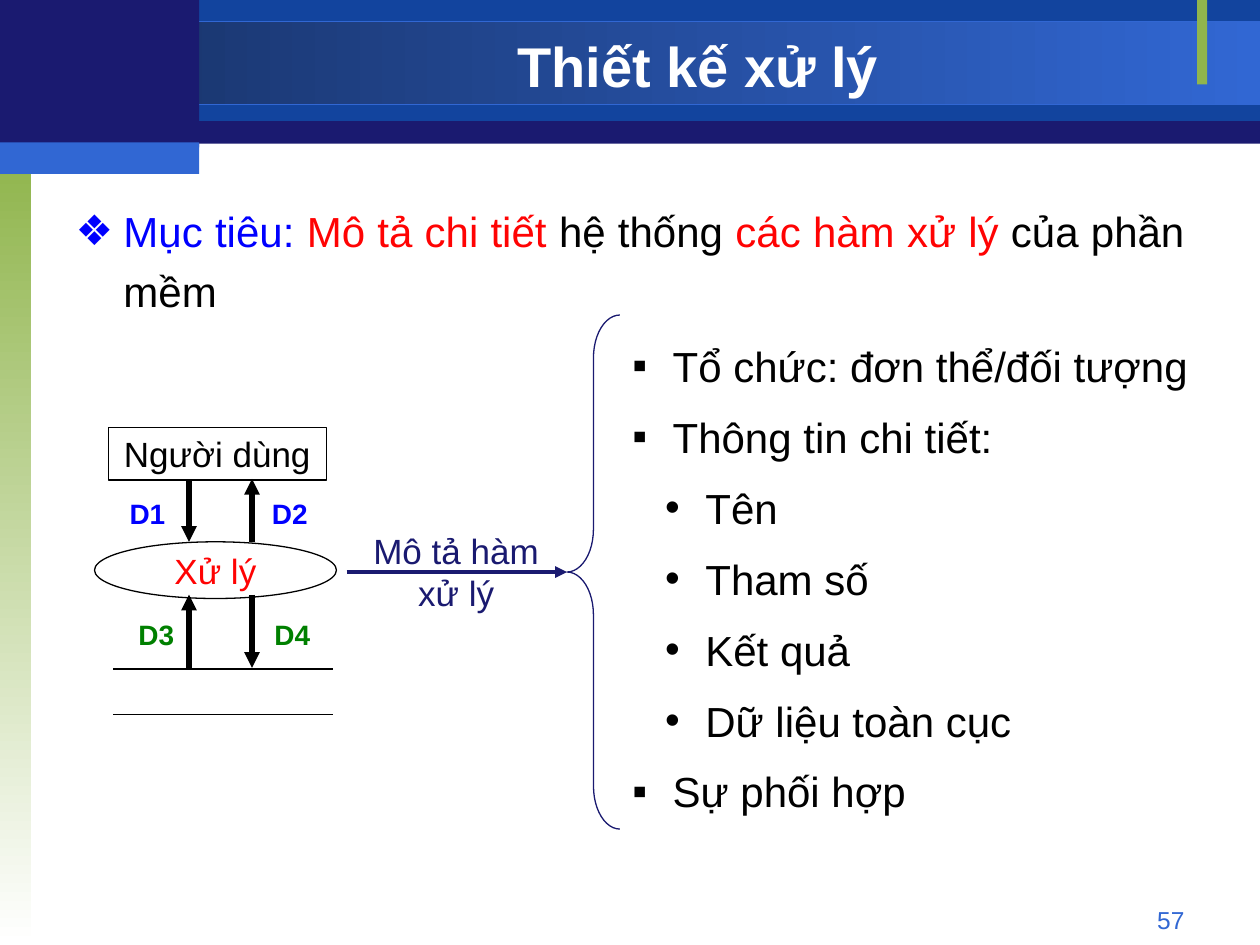
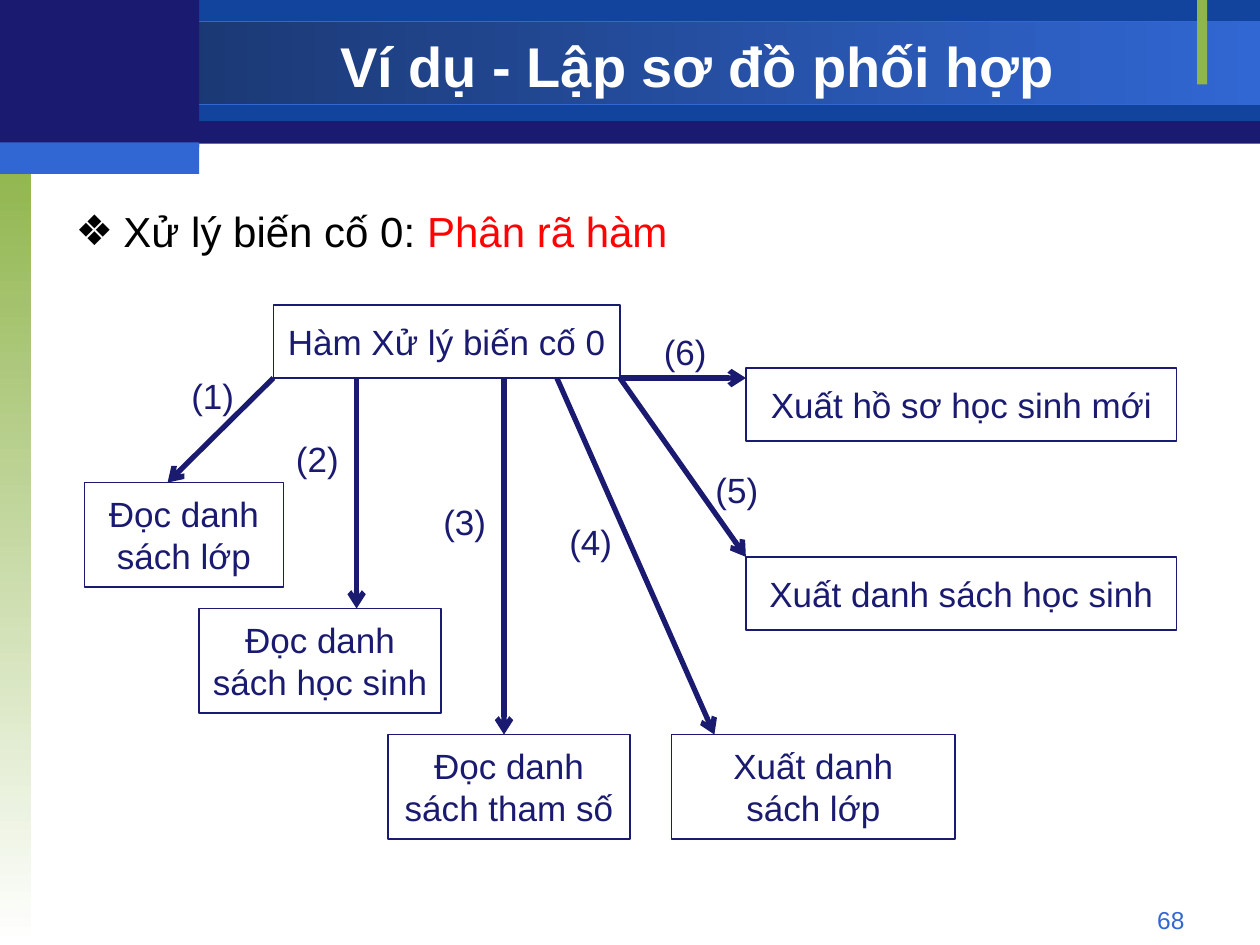
from lxml.etree import SubElement
from pptx import Presentation
from pptx.dml.color import RGBColor
from pptx.enum.shapes import MSO_CONNECTOR as Connector, MSO_SHAPE as Shape
from pptx.enum.text import MSO_ANCHOR as Anchor, MSO_AUTO_SIZE as AutoSize, PP_ALIGN as Align
from pptx.oxml.ns import qn
from pptx.util import Inches, Pt

FONT = "Arial"
NAVY, ROYAL, BLUE, DEEP = "1A1A70", "12449E", "3167D3", "173062"
LEAF, WHITE, BLACK = "90B54D", "FFFFFF", "000000"
RED, PURE_BLUE, GREEN = "FF0303", "0000FF", "008000"

# left, top, width, height, fill (a pair is a gradient), gradient angle, outline
BANDS = [
    (0, 0.01, 10, 1.13, NAVY, 0, None),
    (1.58, 0, 8.42, 0.96, ROYAL, 0, None),
    (0, 0.17, 10, 0.66, (DEEP, BLUE), 0, BLUE),
    (0, 1.25, 0.25, 6.25, (LEAF, WHITE), 270, None),
    (9.5, 0, 0.08, 0.67, LEAF, 0, None),
    (0, 0, 1.58, 1.17, NAVY, 0, None),
    (0, 1.13, 1.58, 0.25, BLUE, 0, None),
]


def rgb(value):
    return RGBColor.from_string(value)


def set_all(target, **values):
    for name, value in values.items():
        setattr(target, name, value)


def place(shape, *box):
    sides = ("left", "top", "width", "height")
    set_all(shape, **{side: Inches(v) for side, v in zip(sides, box)})


class Deck:
    """Holds the shared style and the slide being built."""

    def __init__(self):
        self.prs = Presentation()
        set_all(self.prs, slide_width=Inches(10), slide_height=Inches(7.5))
        self.layout = self.prs.slide_layouts[1]
        self.slide = None

    def new_slide(self, title, number):
        first = self.slide is None
        self.slide = self.prs.slides.add_slide(self.layout)
        if first:
            self.move_bands_to_layout()
        heading = self.slide.shapes.title
        place(heading, 1.58, 0.23, 7.92, 0.58)
        self.fill_text(heading, [[(title, WHITE)]], size=32, bold=True,
                       align=Align.CENTER, anchor=Anchor.MIDDLE)
        self.label(str(number), 7.17, 7.13, 2.33, 0.27, BLUE, size=14, align=Align.RIGHT)

    def move_bands_to_layout(self):
        """Draw the bands once, behind everything, for all slides."""
        tree = self.layout.shapes._spTree
        for index, (*box, fill, angle, outline) in enumerate(BANDS):
            band = self.shape(Shape.RECTANGLE, *box, outline)
            if isinstance(fill, tuple):
                band.fill.gradient()
                band.fill.gradient_angle = angle
                for stop, color in zip(band.fill.gradient_stops, fill):
                    stop.color.rgb = rgb(color)
            else:
                band.fill.solid()
                band.fill.fore_color.rgb = rgb(fill)
            tree.insert(2 + index, band._element)

    def fill_text(self, shape, paragraphs, size=20, bold=False, align=Align.LEFT,
                  anchor=Anchor.TOP, wrap=True, spacing=1.0, bullets=()):
        """Fill a shape; a paragraph is a list of (text, colour) runs."""
        frame = shape.text_frame
        set_all(frame, word_wrap=wrap, auto_size=AutoSize.NONE, vertical_anchor=anchor,
                margin_left=Inches(0.1), margin_right=Inches(0.1),
                margin_top=Inches(0.05), margin_bottom=Inches(0.05))
        for index, runs in enumerate(paragraphs):
            paragraph = frame.add_paragraph() if index else frame.paragraphs[0]
            set_all(paragraph, alignment=align, line_spacing=spacing,
                    space_before=Pt(6 if index and bullets else 0))
            if bullets:
                self.bullet(paragraph, *bullets[index])
            for text, color in runs:
                run = paragraph.add_run()
                run.text = text
                set_all(run.font, name=FONT, size=Pt(size), bold=bold)
                run.font.color.rgb = rgb(color)

    def bullet(self, paragraph, char, color, margin, hanging):
        props = paragraph._p.get_or_add_pPr()
        props.set("marL", str(Inches(margin)))
        props.set("indent", str(-Inches(hanging)))
        SubElement(SubElement(props, qn("a:buClr")), qn("a:srgbClr")).set("val", color)
        SubElement(props, qn("a:buFont")).set("typeface", FONT)
        SubElement(props, qn("a:buChar")).set("char", char)

    def lead(self, *runs):
        """Put the opening statement in the body placeholder."""
        body = self.slide.placeholders[1]
        place(body, 0.5, 1.5, 9, 5.5)
        self.fill_text(body, [runs], size=24, align=Align.JUSTIFY, spacing=1.2,
                       bullets=[("❖", runs[0][1], 0.38, 0.38)])

    def label(self, text, left, top, width, height, color, **style):
        box = self.slide.shapes.add_textbox(*map(Inches, (left, top, width, height)))
        self.fill_text(box, [[(text, color)]], **style)

    def outline_list(self, items, *box):
        """Bulleted list of (level, text) items."""
        area = self.slide.shapes.add_textbox(*map(Inches, box))
        marks = [("▪", BLACK, 0.32, 0.32), ("•", BLACK, 0.58, 0.32)]
        self.fill_text(area, [[(text, BLACK)] for _, text in items], size=24, spacing=1.2,
                       bullets=[marks[level] for level, _ in items])

    def shape(self, kind, left, top, width, height, outline):
        shape = self.slide.shapes.add_shape(kind, *map(Inches, (left, top, width, height)))
        shape.shadow.inherit = False
        shape.fill.background()
        if outline:
            shape.line.color.rgb = rgb(outline)
            shape.line.width = Pt(0.75)
        else:
            shape.line.fill.background()
        return shape

    def node(self, text, left, top, width, height, color=NAVY, outline=NAVY,
             kind=Shape.RECTANGLE):
        node = self.shape(kind, left, top, width, height, outline)
        self.fill_text(node, [[(line, color)] for line in text.split("\n")],
                       align=Align.CENTER, anchor=Anchor.MIDDLE, wrap=False)

    def line(self, start, end, color=BLACK, width=0.75, head=None):
        link = self.slide.shapes.add_connector(
            Connector.STRAIGHT, *map(Inches, (*start, *end)))
        link.line.color.rgb = rgb(color)
        link.line.width = Pt(width)
        if head:
            SubElement(link.line._get_or_add_ln(), qn("a:tailEnd")).set("type", head)
        SubElement(link._element.spPr, qn("a:effectLst"))


def build_processing_design(deck):
    deck.new_slide("Thiết kế xử lý", 57)
    deck.lead(("Mục tiêu: ", PURE_BLUE), ("Mô tả chi tiết", RED), (" hệ thống ", BLACK),
              ("các hàm xử lý", RED), (" của phần mềm", BLACK))

    deck.node("Người dùng", 0.86, 3.39, 1.73, 0.42, BLACK, BLACK)
    deck.node("Xử lý", 0.75, 4.3, 1.92, 0.45, RED, BLACK, Shape.OVAL)
    for store_edge in (5.31, 5.67):
        deck.line((0.9, store_edge), (2.64, store_edge))

    flows = [
        ("D1", 0.93, 3.89, PURE_BLUE, 1.5, 3.81, 4.3),
        ("D2", 2.06, 3.89, PURE_BLUE, 2, 4.3, 3.8),
        ("D3", 1, 4.85, GREEN, 1.5, 5.3, 4.72),
        ("D4", 2.08, 4.85, GREEN, 2, 4.72, 5.3),
    ]
    for name, left, top, color, x, start, end in flows:
        deck.line((x, start), (x, end), width=3, head="triangle")
        deck.label(name, left, top, 0.48, 0.37, color, size=16, bold=True, wrap=False)

    deck.line((2.75, 4.54), (4.5, 4.54), NAVY, 2.25, "triangle")
    deck.label("Mô tả hàm xử lý", 2.83, 4.15, 1.58, 0.77, NAVY, align=Align.CENTER)
    brace = deck.shape(Shape.LEFT_BRACE, 4.5, 2.5, 0.42, 4.08, NAVY)
    brace.adjustments[0] = 0.81
    deck.outline_list([
        (0, "Tổ chức: đơn thể/đối tượng"),
        (0, "Thông tin chi tiết:"),
        (1, "Tên"),
        (1, "Tham số"),
        (1, "Kết quả"),
        (1, "Dữ liệu toàn cục"),
        (0, "Sự phối hợp"),
    ], 4.92, 2.57, 4.75, 3.96)


def build_coordination_example(deck):
    deck.new_slide("Ví dụ - Lập sơ đồ phối hợp", 68)
    deck.lead(("Xử lý biến cố 0: ", BLACK), ("Phân rã hàm", RED))

    functions = [
        ("Hàm Xử lý biến cố 0", 2.17, 2.42, 2.75, 0.58),
        ("Đọc danh\nsách lớp", 0.67, 3.83, 1.58, 0.83),
        ("Đọc danh\nsách học sinh", 1.58, 4.83, 1.92, 0.83),
        ("Đọc danh\nsách tham số", 3.08, 5.83, 1.92, 0.83),
        ("Xuất danh\nsách lớp", 5.33, 5.83, 2.25, 0.83),
        ("Xuất danh sách học sinh", 5.92, 4.42, 3.42, 0.58),
        ("Xuất hồ sơ học sinh mới", 5.92, 2.92, 3.42, 0.58),
    ]
    for function in functions:
        deck.node(*function)

    # start x on the main function's lower edge, arrow end, label corner
    calls = [
        (2.17, (1.33, 3.83), (1.42, 2.92)),
        (2.83, (2.83, 4.83), (2.25, 3.42)),
        (4, (4, 5.83), (3.42, 3.92)),
        (4.42, (5.67, 5.83), (4.42, 4.08)),
        (4.92, (5.92, 4.42), (5.58, 3.67)),
        (4.92, (5.92, 3), (5.17, 2.57)),
    ]
    for step, (start, end, corner) in enumerate(calls, 1):
        deck.line((start, 3), end, NAVY, 3, "arrow")
        deck.label(f"({step})", *corner, 0.58, 0.44, NAVY)


def main():
    deck = Deck()
    build_processing_design(deck)
    build_coordination_example(deck)
    deck.prs.save("out.pptx")


if __name__ == "__main__":
    main()
